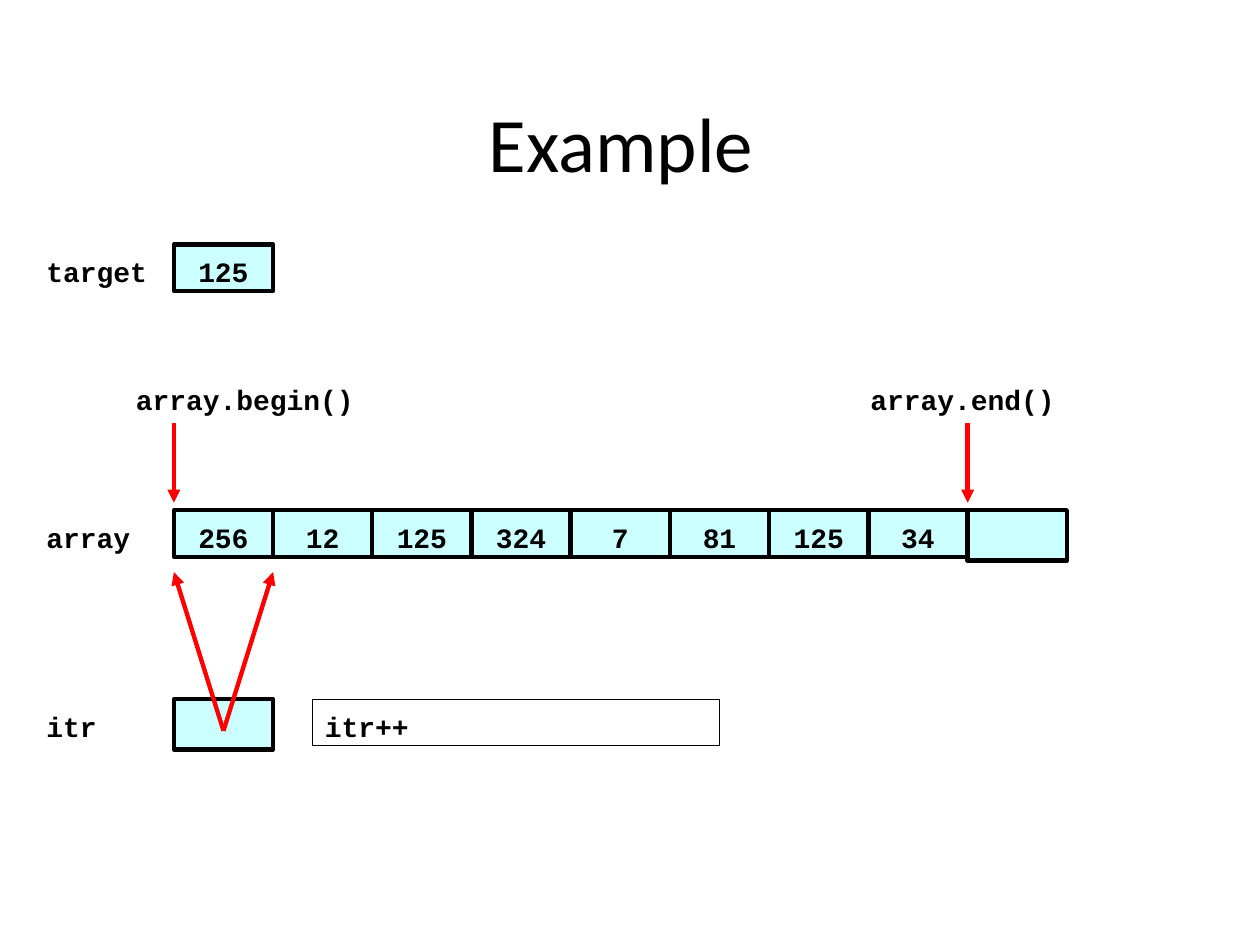
from lxml import etree
from pptx import Presentation
from pptx.dml.color import RGBColor
from pptx.enum.shapes import MSO_CONNECTOR, MSO_SHAPE
from pptx.enum.text import MSO_ANCHOR, PP_ALIGN
from pptx.oxml.ns import qn
from pptx.util import Inches, Pt

STRAIGHT, RECT = MSO_CONNECTOR.STRAIGHT, MSO_SHAPE.RECTANGLE
TOP, LEFT, CENTER = MSO_ANCHOR.TOP, PP_ALIGN.LEFT, PP_ALIGN.CENTER

COLORS = {"text": "000000", "outline": "000000", "cell": "CCFFFF", "arrow": "FF0000"}
CODE = {"name": "Courier New", "size": Pt(16), "bold": True}
HEADING = {"name": "Calibri", "size": Pt(44), "bold": False}
FRAME = {
    "word_wrap": True,
    "vertical_anchor": TOP,
    "margin_left": Inches(0.1),
    "margin_right": Inches(0.1),
    "margin_top": Inches(0.08),
    "margin_bottom": Inches(0),
}

ARRAY = ["256", "12", "125", "324", "7", "81", "125", "34"]
GRID_LEFT = 1.38
COL_W = 6.3 / len(ARRAY)
ROW_H, EMPTY_H = 0.37, 0.4
LABEL_X = 0.27
ROWS = {"target": 1.94, "bounds": 2.96, "array": 4.05, "itr": 5.55}


def col(n):
    """Return the left edge of grid column n in inches."""
    return GRID_LEFT + n * COL_W


def rgb(key):
    """Return the named colour."""
    return RGBColor.from_string(COLORS[key])


def set_attrs(obj, values):
    """Set each format value on the object."""
    for name, value in values.items():
        setattr(obj, name, value)


def write(sp, text, font, align):
    """Write one line of styled text into a shape."""
    tf = sp.text_frame
    set_attrs(tf, FRAME)
    p = tf.paragraphs[0]
    p.alignment = align
    r = p.add_run()
    r.text = text
    set_attrs(r.font, font)
    r.font.color.rgb = rgb("text")


def add_label(s, text, x, y, w, h=ROW_H, font=CODE, align=LEFT):
    """Add a text box."""
    sp = s.shapes.add_textbox(*map(Inches, (x, y, w, h)))
    write(sp, text, font, align)


def add_box(s, text, x, y, w=COL_W, h=ROW_H, fill="cell", line=2.5, align=CENTER):
    """Add an outlined rectangle, with text if there is any."""
    sp = s.shapes.add_shape(RECT, *map(Inches, (x, y, w, h)))
    sp.shadow.inherit = False
    if fill:
        sp.fill.solid()
        sp.fill.fore_color.rgb = rgb(fill)
    else:
        sp.fill.background()
    sp.line.color.rgb = rgb("outline")
    sp.line.width = Pt(line)
    if text:
        write(sp, text, CODE, align)


def add_arrow(s, x1, y1, x2, y2):
    """Add a red line with a triangular head at its end."""
    sp = s.shapes.add_connector(STRAIGHT, *map(Inches, (x1, y1, x2, y2)))
    sp.line.color.rgb = rgb("arrow")
    sp.line.width = Pt(2.5)
    etree.SubElement(sp.line._get_or_add_ln(), qn("a:tailEnd"), type="triangle")
    etree.SubElement(sp._element.spPr, qn("a:effectLst"))


def add_array(s):
    """Add the filled cells and the empty slot past the end."""
    y = ROWS["array"]
    for i, value in enumerate(ARRAY):
        add_box(s, value, col(i), y)
    add_box(s, "", col(len(ARRAY)), y, h=EMPTY_H)


def add_bounds(s):
    """Add the begin and end labels with their arrows."""
    y = ROWS["bounds"]
    for text, n, offset, w in (
        ("array.begin()", 0, 0.4, 2.36),
        ("array.end()", len(ARRAY), 0.87, 1.73),
    ):
        add_label(s, text, col(n) - offset, y, w)
        add_arrow(s, col(n), y + 0.4, col(n), ROWS["array"] - 0.06)


def add_iterator(s):
    """Add the iterator cell, its two positions and the current step."""
    y = ROWS["itr"]
    add_box(s, "", col(0), y, h=EMPTY_H)
    for n in (0, 1):
        add_arrow(s, col(0.5), y + 0.25, col(n), ROWS["array"] + 0.49)
    add_box(s, "itr++", 2.48, y, w=3.23, fill=None, line=0.75, align=LEFT)


def main():
    """Build and save the slide."""
    prs = Presentation()
    prs.slide_width, prs.slide_height = Inches(10), Inches(7.5)
    s = prs.slides.add_slide(prs.slide_layouts[6])
    add_label(s, "Example", 0.43, 0.68, 9, 1.25, HEADING, CENTER)
    for name in ("target", "array", "itr"):
        add_label(s, name, LABEL_X, ROWS[name], 1.1)
    add_box(s, "125", col(0), ROWS["target"])
    add_array(s)
    add_bounds(s)
    add_iterator(s)
    prs.save("out.pptx")


if __name__ == "__main__":
    main()
